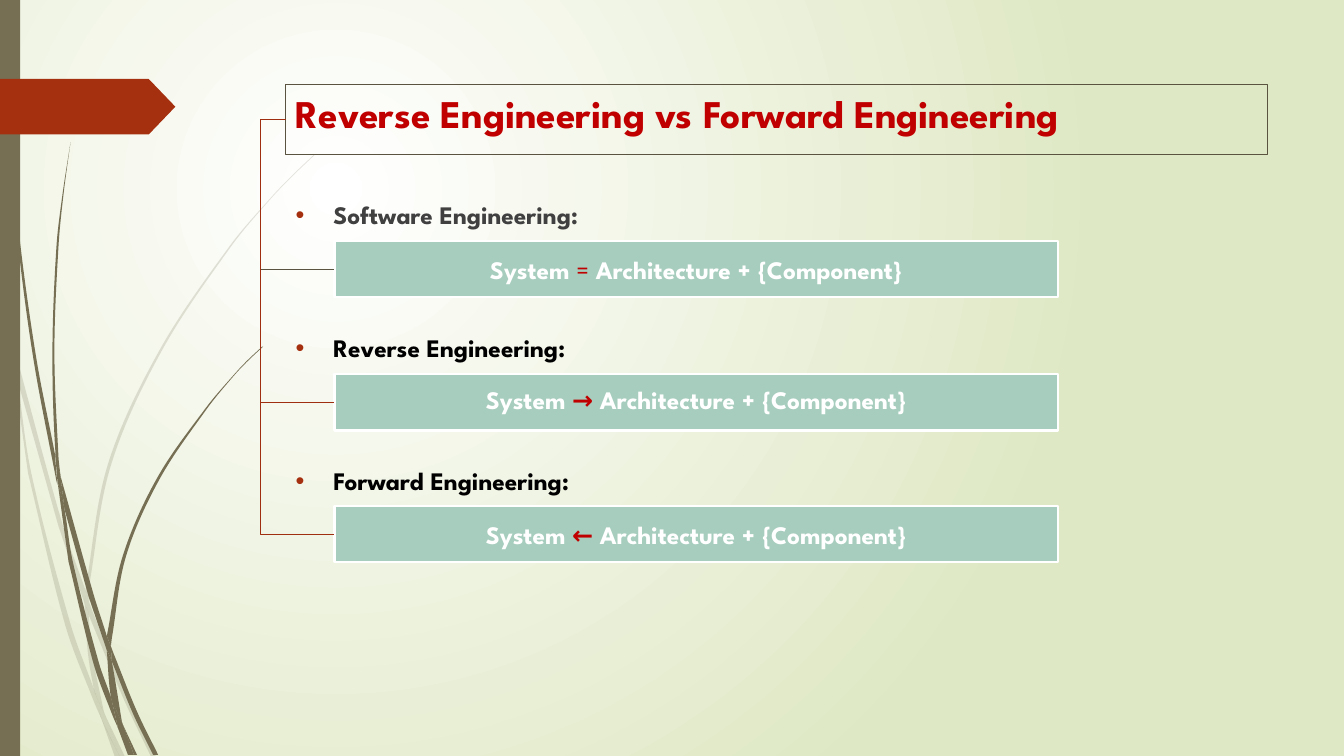
import math
import pptx
import pptx.util
import pptx.dml.color
import pptx.enum.shapes
import pptx.enum.text
import pptx.oxml.ns
import lxml.etree

Cm, Pt = pptx.util.Cm, pptx.util.Pt
Shape = pptx.enum.shapes.MSO_SHAPE
Align = pptx.enum.text.PP_ALIGN
Anchor = pptx.enum.text.MSO_ANCHOR
qn = pptx.oxml.ns.qn
add_node = lxml.etree.SubElement

FONT = "League Spartan"
OLIVE, RUST, RED, WHITE = "766F54", "A53010", "C00000", "FFFFFF"
UNIT = 0.0254  # outline points are in steps of 0.0254 cm

# Blades of grass: points "x,y"; "|" starts a new smooth edge
PALE = [
    "11,350 9,322 0,282 | 0,299 10,344 11,350",
    "58,522 84,599 | 85,586 62,520 14,345 | 17,376 58,522",
    "92,607 88,596 | 88,610 123,694 150,751 | 155,751 127,692 92,607",
    "119,751 124,751 | 105,711 119,751",
    "93,683 70,619 31,469 17,376 11,350 | 28,470 65,621 92,693 101,714 | 99,707 93,683",
    "84,599 87,646 93,683 96,692 105,711 | 103,706 91,646 88,610 88,608 84,599",
    "88,584 110,462 160,349 229,245 268,198 290,175 312,154 | "
    "312,153 289,175 268,197 228,244 158,348 107,461 85,584 85,586 | 88,596 88,584",
    "101,714 114,751 | 119,751 101,714",
    "88,608 88,610 | 88,596 85,586 | 84,599 88,608",
    "96,692 93,683 | 99,707 101,714 119,751 | 105,711 96,692",
]
DARK = [
    "7,110 17,233 33,355 56,477 57,481 | 55,457 55,453 36,355 19,232 8,109 5,48 4,0 | "
    "3,0 4,48 7,110",
    "88,592 106,645 | 106,633 106,631 93,590 60,472 | 64,505 88,592",
    "113,649 110,641 | 111,656 132,708 152,749 | 157,749 136,706 113,649",
    "110,691 98,657 72,556 64,505 57,477 | 68,557 93,659 111,708 117,722 | 116,717 110,691",
    "60,472 58,453 54,349 58,245 63,193 70,141 | 70,141 62,193 56,245 52,349 55,449 60,472",
    "133,749 136,749 | 122,719 133,749",
    "57,477 64,505 | 60,472 55,449 | 55,453 57,477",
    "111,633 125,552 158,476 205,406 231,374 245,359 261,344 | "
    "260,344 245,358 231,373 204,405 156,474 122,551 106,631 | 110,641 111,633",
    "117,722 127,749 | 131,749 117,722",
    "106,645 110,691 116,706 122,719 | 121,716 111,656 109,651 106,645",
    "106,645 109,651 111,656 | 110,641 106,631 | 106,633 106,645",
    "116,706 110,691 | 116,717 117,722 130,749 | 133,749 122,719 116,706",
]

# Heading, its colour, symbol, symbol is bold, top of box, text lift, line colour
TOPICS = [
    ("Software Engineering:", "404040", "=", False, 6.07, 0, "59533F"),
    ("Reverse Engineering:", "000000", "→", True, 9.43, 0.13, "9E2E0F"),
    ("Forward Engineering:", "000000", "←", True, 12.75, 0, "9E2E0F"),
]


def hue(code):
    return pptx.dml.color.RGBColor.from_string(code)


def paint(shape, fill=None, line=None, width=0.75):
    shape.shadow.inherit = False
    if fill:
        shape.fill.solid()
        shape.fill.fore_color.rgb = hue(fill)
    else:
        shape.fill.background()
    if line:
        shape.line.color.rgb = hue(line)
        shape.line.width = Pt(width)
    else:
        shape.line.fill.background()


def style(run, size, color, bold=True):
    run.font.name = FONT
    run.font.size = Pt(size)
    run.font.bold = bold
    run.font.color.rgb = hue(color)


def add_rect(slide, left, top, width, height, kind=Shape.RECTANGLE):
    return slide.shapes.add_shape(kind, Cm(left), Cm(top), Cm(width), Cm(height))


def set_back(slide):
    fill = slide.background.fill
    fill.gradient()
    for stop, code in zip(fill.gradient_stops, (WHITE, "DFE8C4")):
        stop.color.rgb = hue(code)
    grad = next(slide.element.iter(qn("a:gradFill")))
    grad.remove(grad.find(qn("a:lin")))
    ring = add_node(grad, qn("a:path"), path="circle")
    add_node(ring, qn("a:fillToRect"), l="50000", t="50000", r="100000", b="100000")


def pull(spot, start, end, reach):
    """Handle of a curve at spot, along the line from start to end."""
    ratio = reach / 3 / max(math.dist(start, end), 1)
    return tuple(s + (e - b) * ratio for s, b, e in zip(spot, start, end))


def bend(edge):
    """Handles and end point of each curve along a smooth edge."""
    ends = [edge[0]] + edge + [edge[-1]]
    for a, b, c, d in zip(ends, ends[1:], ends[2:], ends[3:]):
        reach = math.dist(b, c)
        yield pull(b, a, c, reach), pull(c, d, b, reach), c


def add_leaf(group, blade):
    edges = [[tuple(Cm(int(n) * UNIT) for n in spot.split(","))
              for spot in edge.split()] for edge in blade.split("|")]
    curves = []
    for edge in edges:
        if curves:
            curves.append((curves[-1][2], edge[0], edge[0]))
        curves += bend(edge)
    pen = group.shapes.build_freeform(*edges[0][0])
    pen.add_line_segments([curve[2] for curve in curves], close=True)
    leaf = pen.convert_to_shape()
    lines = list(leaf._element.iter(qn("a:lnTo")))
    for line, curve in zip(lines, curves):
        line.tag = qn("a:cubicBezTo")
        line.remove(line[0])
        for x, y in curve:
            add_node(line, qn("a:pt"), x=str(round(x - leaf.left)),
                     y=str(round(y - leaf.top)))
    return leaf


def add_grass(slide, blades, alpha=None):
    group = slide.shapes.add_group_shape()
    for blade in blades:
        leaf = add_leaf(group, blade)
        paint(leaf, OLIVE)
        if alpha:
            tint = next(leaf._element.spPr.iter(qn("a:srgbClr")))
            add_node(tint, qn("a:alpha"), val=str(alpha * 1000))


def add_title(slide, text):
    title = slide.shapes.add_textbox(Cm(7.2), Cm(2.13), Cm(24.75), Cm(1.77))
    paint(title, line="59533F")
    frame = title.text_frame
    frame.word_wrap = True
    frame.text = text
    style(frame.paragraphs[0].runs[0], 28, RED)
    return title


def add_heads(slide):
    body = slide.shapes.add_textbox(Cm(7.2), Cm(4.9), Cm(24.77), Cm(10.16))
    frame = body.text_frame
    frame.word_wrap = True
    frame.text = "\n".join(topic[0] for topic in TOPICS)
    for i, (para, topic) in enumerate(zip(frame.paragraphs, TOPICS)):
        props = para._p.get_or_add_pPr()
        props.set("marL", str(Cm(0.95)))
        props.set("indent", str(-Cm(0.95)))
        add_node(add_node(props, qn("a:buClr")), qn("a:srgbClr"), val=RUST)
        add_node(props, qn("a:buFont"), typeface="Arial")
        add_node(props, qn("a:buChar"), char="•")
        if i:
            para.space_before = Pt(73.5)
        style(para.runs[0], 18, topic[1])


def add_box(slide, top, sign, bold, lift):
    box = add_rect(slide, 8.43, top, 18.24, 1.42)
    paint(box, "A6CDBD", WHITE, 1.75)
    frame = box.text_frame
    frame.vertical_anchor = Anchor.MIDDLE
    frame.margin_bottom = Cm(0.13 + lift)
    para = frame.paragraphs[0]
    para.alignment = Align.CENTER
    parts = [("System ", WHITE, True), (sign, RED, bold),
             (" Architecture + {Component}", WHITE, True)]
    for text, color, heavy in parts:
        run = para.add_run()
        run.text = text
        style(run, 18, color, heavy)
    return box


def add_link(slide, start, end, color):
    link = slide.shapes.add_connector(
        pptx.enum.shapes.MSO_CONNECTOR.ELBOW, 0, 0, 0, 0)
    link.begin_connect(start, 1)
    link.end_connect(end, 1)
    link.line.color.rgb = hue(color)
    link.line.width = Pt(0.75)
    props = link._element.spPr
    add_node(props, qn("a:effectLst"))
    guide = props.find(qn("a:prstGeom")).get_or_add_avLst()
    add_node(guide, qn("a:gd"), name="adj1", fmla="val -50600")


def main():
    deck = pptx.Presentation()
    deck.slide_width, deck.slide_height = Cm(33.87), Cm(19.05)
    slide = deck.slides.add_slide(deck.slide_layouts[6])

    # Backdrop
    set_back(slide)
    add_grass(slide, PALE, 20)
    add_grass(slide, DARK)
    paint(add_rect(slide, 0, 0, 0.51, 19.05), OLIVE)
    flag = add_rect(slide, 0, 1.99, 4.42, 1.4, Shape.PENTAGON)
    flag.adjustments[0] = 0.48
    paint(flag, RUST)

    # Title, headings and formulas
    title = add_title(slide, "Reverse Engineering vs Forward Engineering")
    add_heads(slide)
    boxes = [add_box(slide, top, sign, bold, lift)
             for _, _, sign, bold, top, lift, _ in TOPICS]

    # Links from the title to each formula
    for box, topic in zip(boxes, TOPICS):
        add_link(slide, title, box, topic[-1])
    deck.save("out.pptx")


if __name__ == "__main__":
    main()
